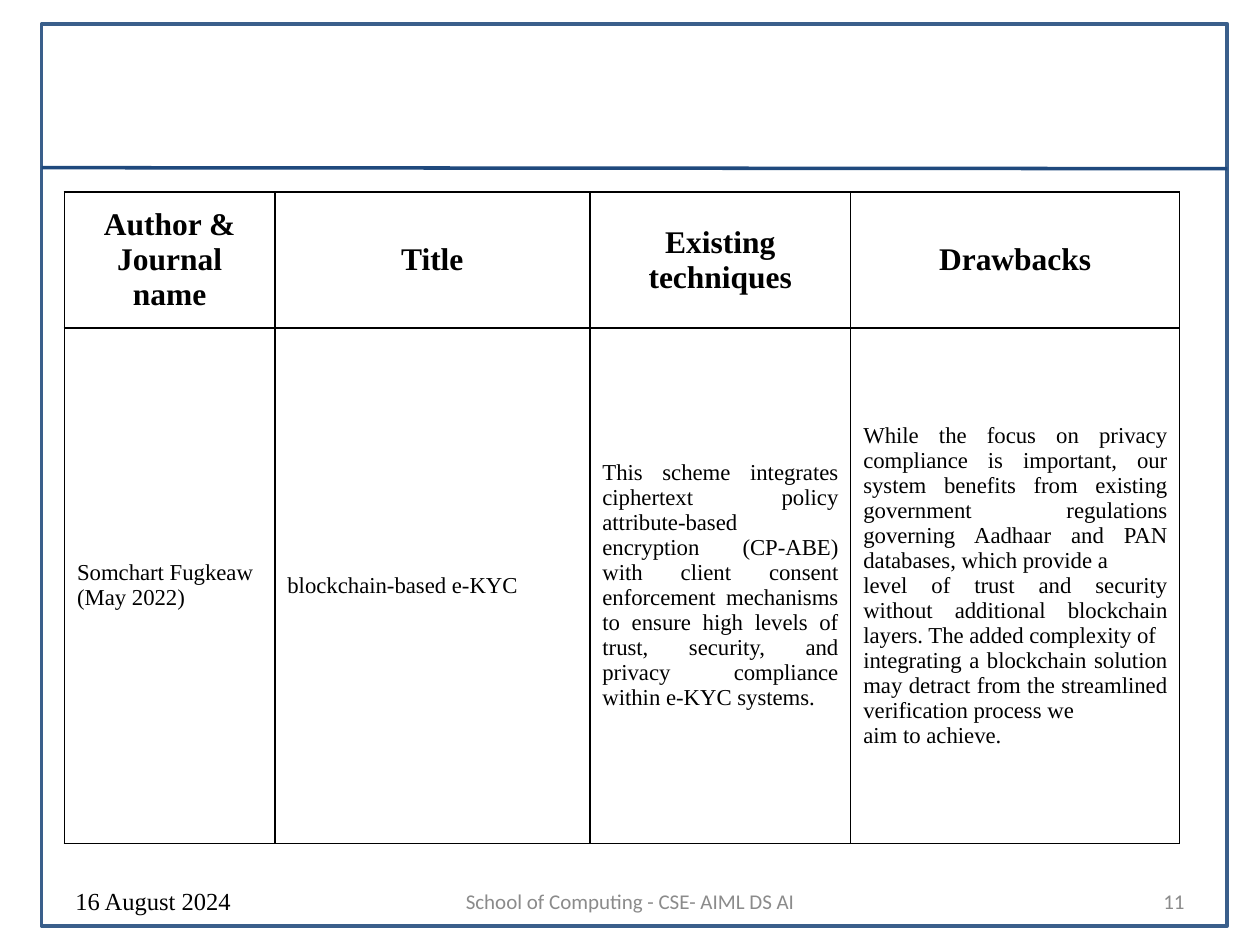
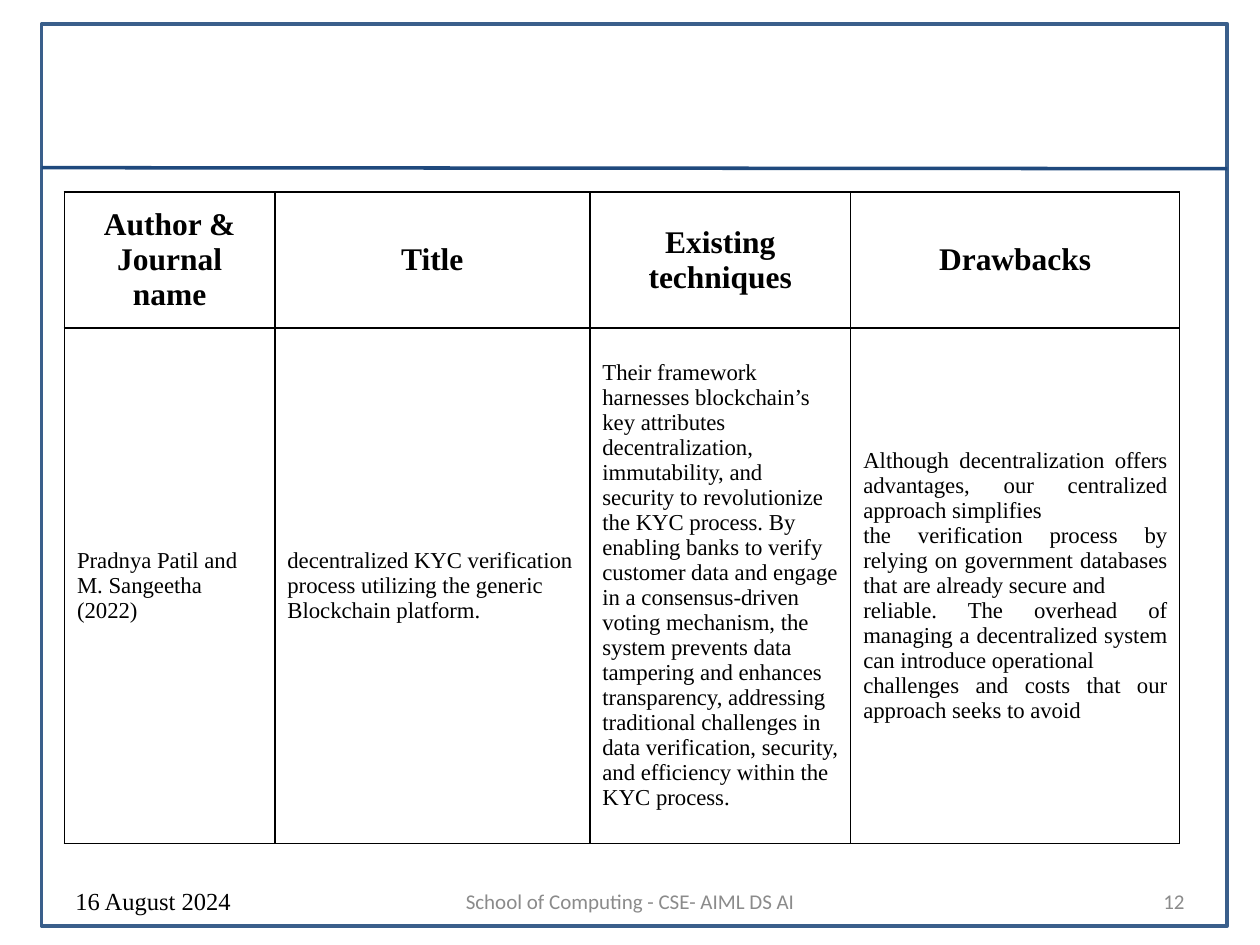
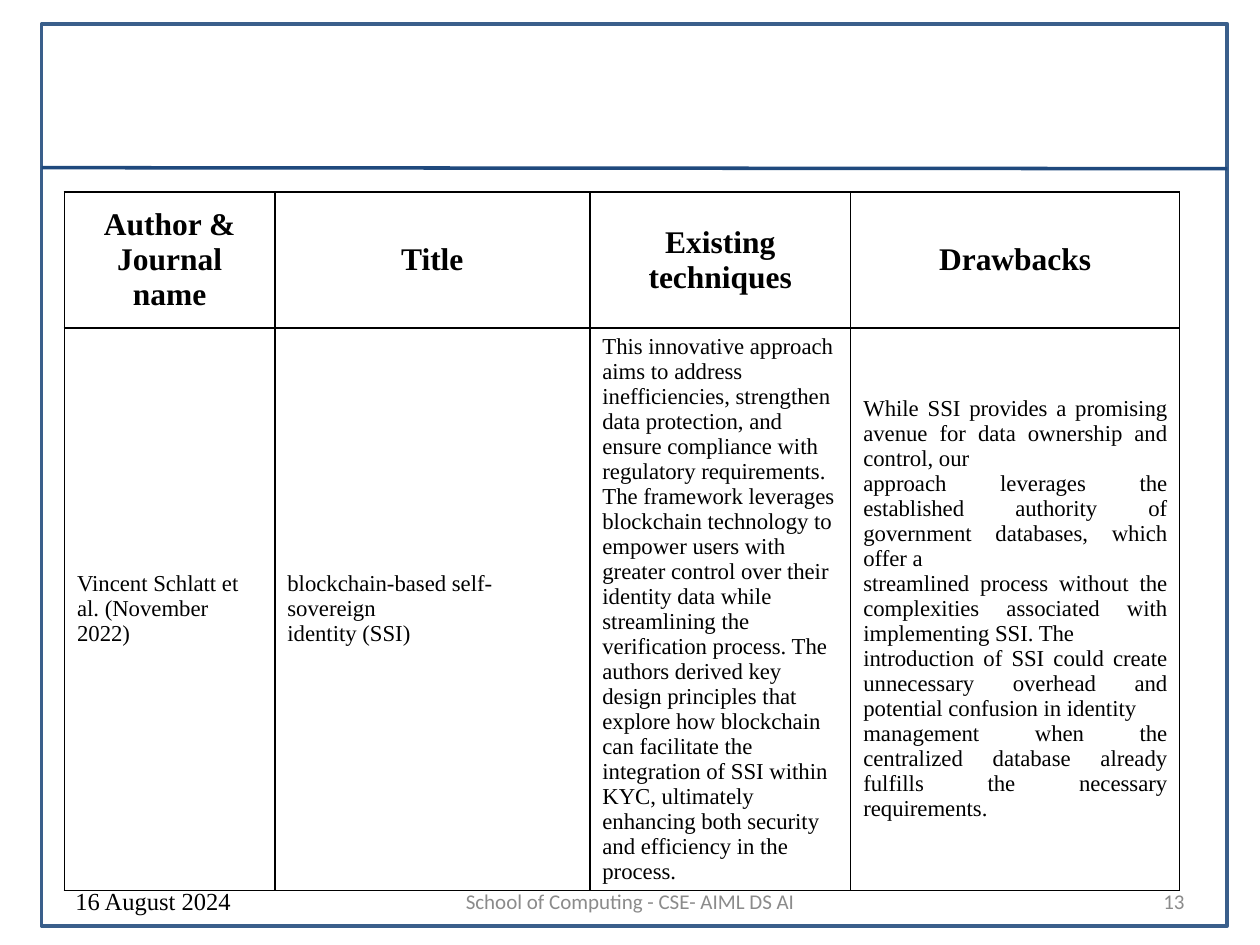
from lxml.etree import SubElement
from pptx import Presentation
from pptx.dml.color import RGBColor
from pptx.enum.shapes import MSO_CONNECTOR, MSO_SHAPE
from pptx.enum.text import MSO_ANCHOR, PP_ALIGN
from pptx.oxml import parse_xml
from pptx.oxml.ns import nsdecls, qn
from pptx.util import Cm, Pt

FRAME_BLUE = RGBColor(0x3A, 0x5F, 0x8B)
RULE_BLUE = RGBColor(0x1F, 0x49, 0x7D)
BLACK = RGBColor(0x00, 0x00, 0x00)
GREY = RGBColor(0x8B, 0x8B, 0x8B)
SERIF = "Times New Roman"
SANS = "Calibri"

HEADINGS = ["Author & Journal name", "Title", "Existing techniques", "Drawbacks"]
COLUMN_WIDTHS = [4.24, 6.35, 5.26, 6.63]
ROW_HEIGHTS = [2.74, 10.39]
FIRST_PAGE = 11

LEFT, CENTER, JUSTIFY = PP_ALIGN.LEFT, PP_ALIGN.CENTER, PP_ALIGN.JUSTIFY

STUDIES = [
    (
        "Somchart Fugkeaw (May 2022)",
        "blockchain-based e-KYC",
        "This scheme integrates ciphertext policy attribute-based encryption (CP-ABE) "
        "with client consent enforcement mechanisms to ensure high levels of trust, "
        "security, and privacy compliance within e-KYC systems.",
        "While the focus on privacy compliance is important, our system benefits from "
        "existing government regulations governing Aadhaar and PAN databases, which provide a\n"
        "level of trust and security without additional blockchain layers. The added complexity of\n"
        "integrating a blockchain solution may detract from the streamlined verification process we\n"
        "aim to achieve.",
        JUSTIFY,
    ),
    (
        "Pradnya Patil and M. Sangeetha (2022)",
        "decentralized KYC verification process utilizing the generic Blockchain platform.",
        "Their framework harnesses blockchain’s key attributes decentralization, "
        "immutability, and security to revolutionize the KYC process. By enabling banks to "
        "verify customer data and engage in a consensus-driven voting mechanism, the system "
        "prevents data tampering and enhances transparency, addressing traditional challenges "
        "in data verification, security, and efficiency within the KYC process.",
        "Although decentralization offers advantages, our centralized approach simplifies\n"
        "the verification process by relying on government databases that are already secure and\n"
        "reliable. The overhead of managing a decentralized system can introduce operational\n"
        "challenges and costs that our approach seeks to avoid",
        LEFT,
    ),
    (
        "Vincent Schlatt et al. (November 2022)",
        "blockchain-based self-sovereign\nidentity (SSI)",
        "This innovative approach aims to address inefficiencies, strengthen data protection, "
        "and ensure compliance with regulatory requirements. The framework leverages blockchain "
        "technology to empower users with greater control over their identity data while "
        "streamlining the verification process. The authors derived key design principles that "
        "explore how blockchain can facilitate the integration of SSI within KYC, ultimately "
        "enhancing both security and efficiency in the process.",
        "While SSI provides a promising avenue for data ownership and control, our\n"
        "approach leverages the established authority of government databases, which offer a\n"
        "streamlined process without the complexities associated with implementing SSI. The\n"
        "introduction of SSI could create unnecessary overhead and potential confusion in identity\n"
        "management when the centralized database already fulfills the necessary requirements.",
        LEFT,
    ),
]


def write(text_frame, text, size=13, font=SERIF, color=BLACK, bold=False, align=LEFT):
    text_frame.word_wrap = True
    text_frame.text = text
    for paragraph in text_frame.paragraphs:
        paragraph.alignment = align
        for run in paragraph.runs:
            run.font.size = Pt(size)
            run.font.name = font
            run.font.bold = bold
            run.font.color.rgb = color


prs = Presentation()
prs.slide_width, prs.slide_height = Cm(25.4), Cm(19.05)
layout = prs.slide_layouts[6]
for placeholder in list(layout.placeholders):
    layout.shapes.element.remove(placeholder.element)

slides = [prs.slides.add_slide(layout) for study in STUDIES]

frame = slides[0].shapes.add_shape(MSO_SHAPE.RECTANGLE, Cm(0.84), Cm(0.48), Cm(23.9), Cm(18.19))
frame.shadow.inherit = False
frame.fill.background()
frame.line.color.rgb = FRAME_BLUE
frame.line.width = Pt(2)
header_rule = slides[0].shapes.add_connector(
    MSO_CONNECTOR.STRAIGHT, Cm(0.84), Cm(3.38), Cm(24.74), Cm(3.4))
header_rule.line.color.rgb = RULE_BLUE
header_rule.line.width = Pt(2)
SubElement(header_rule.element.spPr, qn("a:effectLst"))
for shared in (frame, header_rule):
    layout.shapes.element.append(shared.element)

for page, (slide, study) in enumerate(zip(slides, STUDIES), FIRST_PAGE):
    *findings, technique_align = study
    survey = slide.shapes.add_table(
        2, 4, Cm(1.3), Cm(3.87), Cm(sum(COLUMN_WIDTHS)), Cm(sum(ROW_HEIGHTS))).table
    survey.first_row = survey.horz_banding = False
    for column, width in zip(survey.columns, COLUMN_WIDTHS):
        column.width = Cm(width)
    for row, height in zip(survey.rows, ROW_HEIGHTS):
        row.height = Cm(height)

    for col, heading in enumerate(HEADINGS):
        write(survey.cell(0, col).text_frame, heading, size=18, bold=True, align=CENTER)
    for col, align in enumerate([LEFT, LEFT, technique_align, JUSTIFY]):
        write(survey.cell(1, col).text_frame, findings[col], align=align)

    for cell in survey.iter_cells():
        cell.vertical_anchor = MSO_ANCHOR.MIDDLE
        for side in ("lnL", "lnR", "lnT", "lnB"):
            cell._tc.get_or_add_tcPr().append(parse_xml(
                f'<a:{side} {nsdecls("a")} w="{Pt(0.96)}"><a:solidFill>'
                f'<a:srgbClr val="{BLACK}"/></a:solidFill></a:{side}>'))
        cell.fill.background()

    for left, width, text, style in [
        (8.69, 8.03, "School of Computing - CSE- AIML DS AI",
         dict(size=12, font=SANS, color=GREY, align=CENTER)),
        (18.21, 5.92, str(page), dict(size=12, font=SANS, color=GREY, align=PP_ALIGN.RIGHT)),
        (1.27, 5.92, "16 August 2024", dict(size=14)),
    ]:
        footer = slide.shapes.add_textbox(Cm(left), Cm(17.65), Cm(width), Cm(1.02)).text_frame
        footer.vertical_anchor = MSO_ANCHOR.MIDDLE
        write(footer, text, **style)

prs.save("out.pptx")
